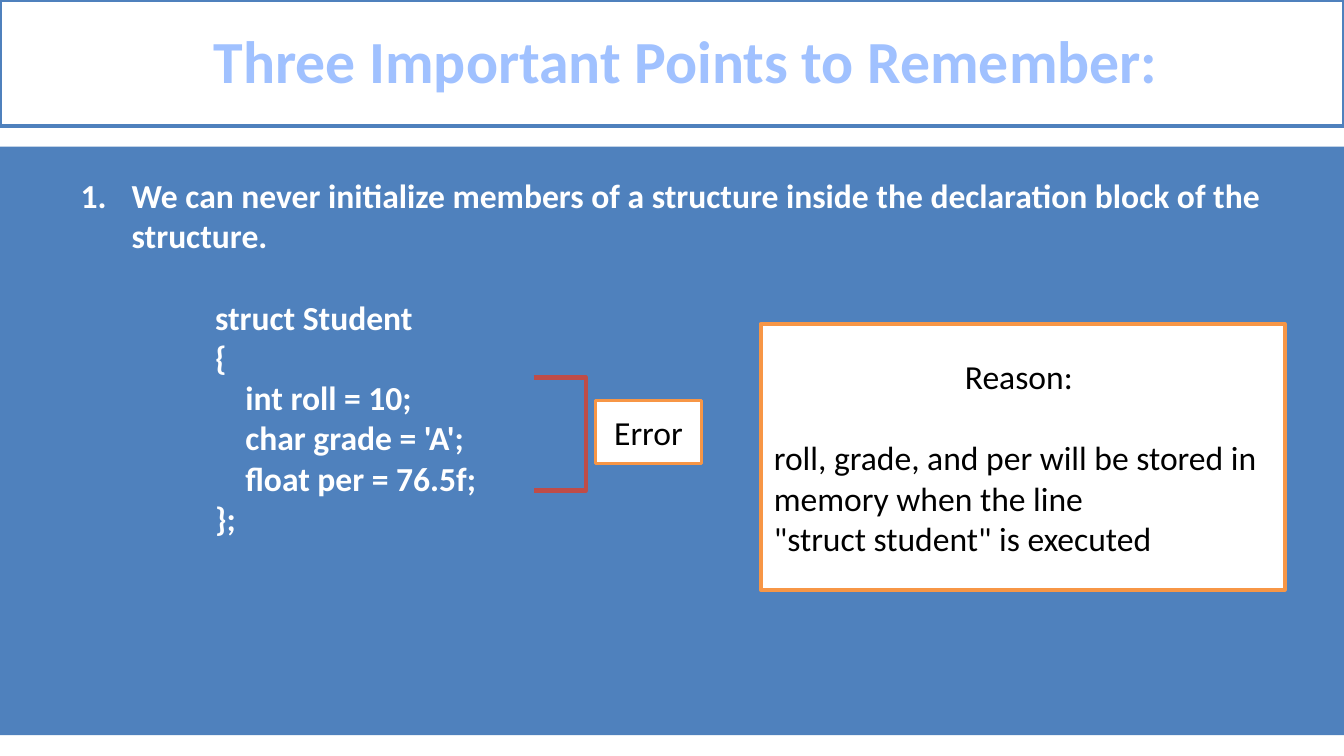
import dataclasses

import lxml.etree
import pptx
import pptx.dml.color
import pptx.enum.shapes
import pptx.enum.text
import pptx.oxml.ns
import pptx.util

Inches = pptx.util.Inches
Pt = pptx.util.Pt
Shape = pptx.enum.shapes.MSO_SHAPE
Align = pptx.enum.text.PP_ALIGN
Anchor = pptx.enum.text.MSO_ANCHOR


@dataclasses.dataclass(frozen=True)
class Theme:
    font: str = "Calibri"
    blue: str = "4F81BD"
    title_blue: str = "A0C1FF"
    white: str = "FFFFFF"
    black: str = "000000"
    orange: str = "F79646"
    red: str = "BF4C48"
    title_size: float = 32
    text_size: float = 18
    blank_line: float = 22
    border: float = 2
    bracket_line: float = 2.25


THEME = Theme()

RULE = ("We can never initialize members of a structure inside "
        "the declaration block of the structure.")
CODE = [
    "struct Student",
    "{",
    "    int roll = 10;",
    "    char grade = 'A';",
    "    float per = 76.5f;",
    "};",
]
REASON = [
    "Reason: ",
    "roll, grade, and per will be stored in memory when the line",
    '"struct student" is executed',
]


def rgb(color):
    return pptx.dml.color.RGBColor.from_string(color)


def place(shape, left, top, width, height):
    shape.left, shape.top = Inches(left), Inches(top)
    shape.width, shape.height = Inches(width), Inches(height)


def paint(shape, fill=None, line=None, width=THEME.border):
    if fill:
        shape.fill.solid()
        shape.fill.fore_color.rgb = rgb(fill)
    else:
        shape.fill.background()
    if line:
        shape.line.color.rgb = rgb(line)
        shape.line.width = Pt(width)
    else:
        shape.line.fill.background()


def style(paragraph, color, size=THEME.text_size, bold=False):
    for span in paragraph.runs:
        span.font.name = THEME.font
        span.font.size = Pt(size)
        span.font.bold = bold
        span.font.color.rgb = rgb(color)


def indent(paragraph, left, first=0, numbered=False):
    properties = paragraph._p.get_or_add_pPr()
    properties.set("marL", str(Inches(left)))
    properties.set("indent", str(Inches(first)))
    tag = "a:buAutoNum" if numbered else "a:buNone"
    bullet = lxml.etree.SubElement(properties, pptx.oxml.ns.qn(tag))
    if numbered:
        bullet.set("type", "arabicPeriod")


def add_shape(page, kind, bounds, **paint_options):
    shape = page.shapes.add_shape(kind, *map(Inches, bounds))
    shape.shadow.inherit = False
    paint(shape, **paint_options)
    return shape


def add_panel(page):
    panel = add_shape(page, Shape.RECTANGLE, (0, 1.09, 10, 4.38), fill=THEME.blue)
    page.shapes._spTree.insert(2, panel._element)


def fill_title(title):
    place(title, 0, 0, 10, 0.94)
    paint(title, THEME.white, THEME.blue)
    frame = title.text_frame
    frame.text = "Three Important Points to Remember:"
    frame.vertical_anchor = Anchor.MIDDLE
    paragraph = frame.paragraphs[0]
    indent(paragraph, 0.21)
    paragraph.alignment = Align.CENTER
    paragraph.line_spacing = 0.96
    style(paragraph, THEME.title_blue, THEME.title_size, bold=True)


def fill_body(body):
    place(body, 0, 1.25, 10, 2.83)
    frame = body.text_frame
    frame.text = "\n".join([RULE, *CODE])
    frame.auto_size = pptx.enum.text.MSO_AUTO_SIZE.NONE
    rule, *code = frame.paragraphs
    indent(rule, 0.88, -0.38, numbered=True)
    for line in code:
        line.level = 2
        indent(line, 1.5)
    for paragraph in frame.paragraphs:
        paragraph.space_before = Pt(0)
        style(paragraph, THEME.white, bold=True)
    code[0].space_before = Pt(THEME.blank_line)


def add_note(page, bounds, lines):
    note = add_shape(page, Shape.RECTANGLE, bounds, fill=THEME.white, line=THEME.orange)
    frame = note.text_frame
    frame.text = "\n".join(lines)
    frame.word_wrap = True
    frame.vertical_anchor = Anchor.MIDDLE
    heading, *details = frame.paragraphs
    heading.alignment = Align.CENTER
    for paragraph in details:
        paragraph.alignment = Align.LEFT
    if details:
        details[0].space_before = Pt(THEME.blank_line)
    for paragraph in frame.paragraphs:
        style(paragraph, THEME.black)


def add_bracket(page):
    bracket = add_shape(page, Shape.RIGHT_BRACKET, (3.97, 2.81, 0.39, 0.84),
                        line=THEME.red, width=THEME.bracket_line)
    bracket.adjustments[0] = 0


def main():
    deck = pptx.Presentation()
    deck.slide_width = Inches(10)
    deck.slide_height = deck.slide_width * 9 // 16
    page = deck.slides.add_slide(deck.slide_layouts[1])
    add_panel(page)
    fill_title(page.shapes.title)
    fill_body(page.placeholders[1])
    add_bracket(page)
    add_note(page, (4.43, 2.98, 0.79, 0.47), ["Error"])
    add_note(page, (5.66, 2.41, 3.9, 1.98), REASON)
    deck.save("out.pptx")


if __name__ == "__main__":
    main()
